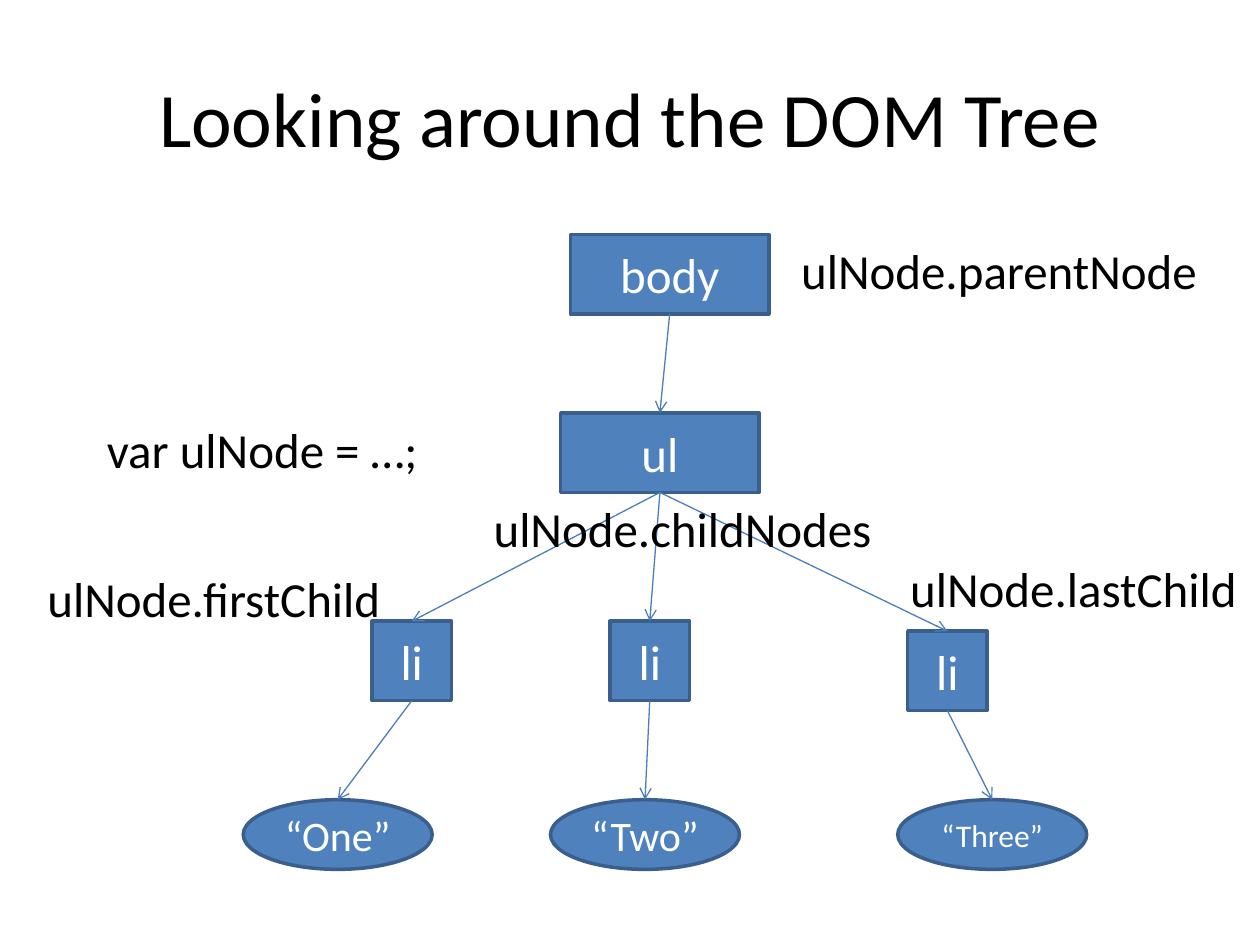
from lxml.etree import SubElement
from pptx import Presentation
from pptx.dml.color import RGBColor
from pptx.enum.shapes import MSO_CONNECTOR, MSO_SHAPE
from pptx.enum.text import MSO_ANCHOR, PP_ALIGN
from pptx.oxml.ns import qn
from pptx.util import Pt

COLORS = {"fill": "4F81BD", "line": "3A5F8C", "arrow": "4B7EBC", "light": "FFFFFF", "dark": "000000"}


def write(sp, text, size=28, color="dark", align=PP_ALIGN.LEFT, anchor=MSO_ANCHOR.TOP, wrap=True):
    tf = sp.text_frame
    tf.word_wrap = wrap
    tf.vertical_anchor = anchor
    p = tf.paragraphs[0]
    p.alignment = align
    r = p.add_run()
    r.text = text
    r.font.size = Pt(size)
    r.font.name = "Calibri"
    r.font.color.rgb = RGBColor.from_string(COLORS[color])


prs = Presentation()
prs.slide_width, prs.slide_height = Pt(720), Pt(540)
s = prs.slides.add_slide(prs.slide_layouts[6])

title = s.shapes.add_textbox(Pt(36), Pt(21.6), Pt(648), Pt(90))
write(title, "Looking around the DOM Tree", size=44, align=PP_ALIGN.CENTER, anchor=MSO_ANCHOR.MIDDLE)

RECT, OVAL = MSO_SHAPE.RECTANGLE, MSO_SHAPE.OVAL
nodes = {}
for name, kind, text, size, x, y, w, h in [
    ("body", RECT, "body", 28, 326, 134, 113.4, 45.4),
    ("ul", RECT, "ul", 28, 320.4, 236, 113.4, 45.4),
    ("first", RECT, "li", 28, 212.6, 355, 45.4, 45.4),
    ("second", RECT, "li", 28, 348.6, 355, 45.4, 45.4),
    ("last", RECT, "li", 28, 518.7, 360.7, 45.4, 45.4),
    ("one", OVAL, "“One”", 24, 139, 457, 108, 39.8),
    ("two", OVAL, "“Two”", 24, 314.6, 457, 108, 39.8),
    ("three", OVAL, "“Three”", 18, 513, 457, 108, 39.8),
]:
    sp = s.shapes.add_shape(kind, Pt(x), Pt(y), Pt(w), Pt(h))
    sp.shadow.inherit = False
    sp.fill.solid()
    sp.fill.fore_color.rgb = RGBColor.from_string(COLORS["fill"])
    sp.line.color.rgb = RGBColor.from_string(COLORS["line"])
    sp.line.width = Pt(2)
    write(sp, text, size=size, color="light", align=PP_ALIGN.CENTER, anchor=MSO_ANCHOR.MIDDLE)
    nodes[name] = sp

for parent, child in [
    ("body", "ul"),
    ("ul", "first"), ("ul", "second"), ("ul", "last"),
    ("first", "one"), ("second", "two"), ("last", "three"),
]:
    arrow = s.shapes.add_connector(MSO_CONNECTOR.STRAIGHT, 0, 0, 0, 0)
    arrow.begin_connect(nodes[parent], 2)
    arrow.end_connect(nodes[child], 0)
    arrow.line.color.rgb = RGBColor.from_string(COLORS["arrow"])
    arrow.line.width = Pt(0.75)
    SubElement(arrow.line._get_or_add_ln(), qn("a:tailEnd"), type="arrow")
    SubElement(arrow._element.spPr, qn("a:effectLst"))

for text, x, y, w in [
    ("ulNode.parentNode", 450.7, 134, 243.4),
    ("var ulNode = …;", 54, 236, 194.4),
    ("ulNode.firstChild", 20, 321.3, 206.6),
    ("ulNode.childNodes", 275, 281.4, 233.3),
    ("ulNode.lastChild", 513, 315.6, 203),
]:
    label = s.shapes.add_textbox(Pt(x), Pt(y), Pt(w), Pt(41))
    write(label, text, wrap=False)

prs.save("out.pptx")
